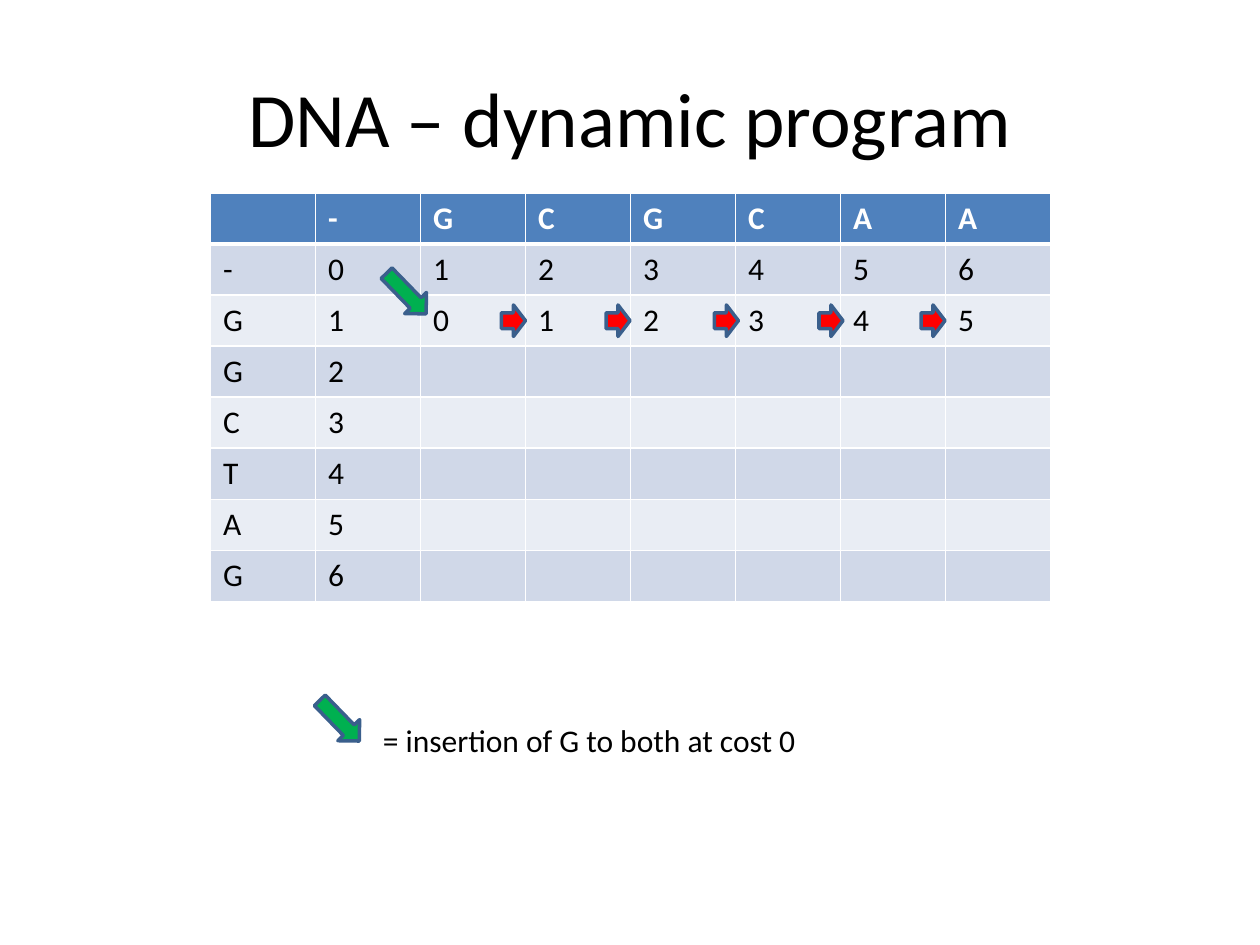
from lxml import etree
from pptx import Presentation
from pptx.dml.color import RGBColor
from pptx.enum import shapes, text
from pptx.oxml import ns
from pptx.util import Inches, Pt

FONT = "Calibri"
COLORS = {
    "text": "000000",
    "white": "FFFFFF",
    "header": "4F81BD",
    "odd_row": "D0D8E8",
    "even_row": "E9EDF4",
    "outline": "3A5F8C",
    "step": "FF0000",
    "match": "00B050",
}
COST_ROWS = [
    ["", *"-GCGCAA"],
    ["-", *"0123456"],
    ["G", *"1012345"],
    ["G", "2"],
    ["C", "3"],
    ["T", "4"],
    ["A", "5"],
    ["G", "6"],
]
STEP_LEFTS = [3.98, 4.81, 5.67, 6.5, 7.31]
MATCH_POSITIONS = [(3, 2.21), (2.47, 5.6)]


def color(name):
    return RGBColor.from_string(COLORS[name])


def format_runs(para, size, color_name="text", bold=False):
    for span in para.runs:
        span.font.name = FONT
        span.font.size = Pt(size)
        span.font.bold = bold
        span.font.color.rgb = color(color_name)


def add_title(page, wording):
    title = page.shapes.title
    title.left, title.top = Inches(0.5), Inches(0.3)
    title.width, title.height = Inches(9), Inches(1.25)
    frame = title.text_frame
    frame.text = wording
    frame.vertical_anchor = text.MSO_ANCHOR.MIDDLE
    frame.paragraphs[0].alignment = text.PP_ALIGN.CENTER
    format_runs(frame.paragraphs[0], 44)


def set_borders(cell, top, bottom):
    """Draw white borders; top and bottom are widths in points."""
    properties = cell._tc.get_or_add_tcPr()
    for side, width in (("L", 1), ("R", 1), ("T", top), ("B", bottom)):
        line = etree.SubElement(properties, ns.qn(f"a:ln{side}"), w=str(Pt(width)))
        fill = etree.SubElement(line, ns.qn("a:solidFill"))
        etree.SubElement(fill, ns.qn("a:srgbClr"), val=COLORS["white"])


def add_cost_table(page):
    count = len(COST_ROWS)
    width, height = Inches(6.67), Inches(3.24)
    table = page.shapes.add_table(
        count, count, Inches(1.67), Inches(1.53), width, height
    ).table
    for column in table.columns:
        column.width = width // count
    for row_index, values in enumerate(COST_ROWS):
        table.rows[row_index].height = height // count
        is_header = row_index == 0
        body_fill = "odd_row" if row_index % 2 else "even_row"
        for column_index in range(count):
            cell = table.cell(row_index, column_index)
            set_borders(cell, 3 if row_index == 1 else 1, 3 if is_header else 1)
            cell.fill.solid()
            cell.fill.fore_color.rgb = color("header" if is_header else body_fill)
            if column_index < len(values) and values[column_index]:
                para = cell.text_frame.paragraphs[0]
                para.text = values[column_index]
                format_runs(para, 18, "white" if is_header else "text", is_header)


def add_arrow(page, left, top, width, height, fill_name, rotation=0):
    arrow = page.shapes.add_shape(
        shapes.MSO_SHAPE.RIGHT_ARROW,
        Inches(left), Inches(top), Inches(width), Inches(height),
    )
    arrow.shadow.inherit = False
    arrow.rotation = rotation
    arrow.fill.solid()
    arrow.fill.fore_color.rgb = color(fill_name)
    arrow.line.color.rgb = color("outline")
    arrow.line.width = Pt(2)


def add_legend(page, wording):
    box = page.shapes.add_textbox(
        Inches(2.94), Inches(5.67), Inches(3.52), Inches(0.4)
    )
    frame = box.text_frame
    frame.word_wrap = False
    frame.auto_size = text.MSO_AUTO_SIZE.SHAPE_TO_FIT_TEXT
    frame.text = wording
    format_runs(frame.paragraphs[0], 18)


def main():
    deck = Presentation()
    deck.slide_width, deck.slide_height = Inches(10), Inches(7.5)
    page = deck.slides.add_slide(deck.slide_layouts.get_by_name("Title Only"))
    add_title(page, "DNA – dynamic program")
    add_cost_table(page)
    for left in STEP_LEFTS:
        add_arrow(page, left, 2.42, 0.19, 0.25, "step")
    for left, top in MATCH_POSITIONS:
        add_arrow(page, left, top, 0.45, 0.24, "match", rotation=45.8)
    add_legend(page, "= insertion of G to both at cost 0")
    deck.save("out.pptx")


if __name__ == "__main__":
    main()
